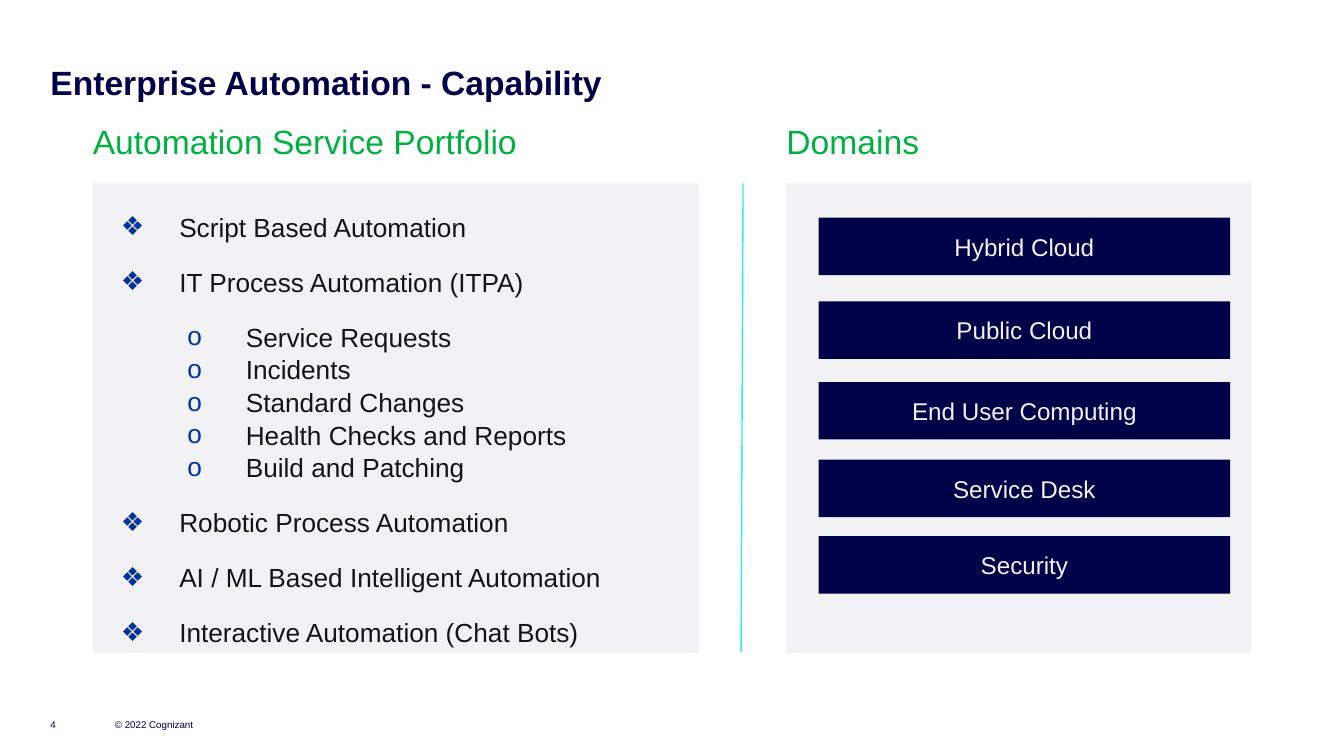
from lxml import etree
from pptx import Presentation
from pptx import util as u
from pptx.dml.color import RGBColor
from pptx.enum import shapes, text
from pptx.oxml.ns import qn

NAVY, GREEN, BLUE, INK = "000048", "00B140", "0033A0", "141414"
WHITE, CYAN = "FFFFFF", "26EFE9"

SERVICES = [
    ("Script Based Automation", []),
    ("IT Process Automation (ITPA)", [
        "Service Requests", "Incidents", "Standard Changes",
        "Health Checks and Reports", "Build and Patching"]),
    ("Robotic Process Automation", []),
    ("AI / ML Based Intelligent Automation", []),
    ("Interactive Automation (Chat Bots)", []),
]
DOMAINS = [("Hybrid Cloud", 2.16), ("Public Cloud", 2.99),
           ("End User Computing", 3.79), ("Service Desk", 4.56),
           ("Security", 5.32)]


def color(code):
    return RGBColor.from_string(code)


def write(para, words, size=24, ink=NAVY, bold=False, align=None):
    run = para.add_run()
    run.text = words
    font = run.font
    font.name, font.size, font.bold = "Arial", u.Pt(size), bold
    font.color.rgb = color(ink)
    para.alignment = align


def bullet(para, mark, left, hang=0.58):
    """Give the paragraph a coloured mark and a hanging indent."""
    props = para._p.get_or_add_pPr()
    props.set("marL", str(u.Inches(left)))
    props.set("indent", str(-u.Inches(hang)))
    tint = etree.SubElement(props, qn("a:buClr"))
    etree.SubElement(tint, qn("a:srgbClr"), val=BLUE)
    etree.SubElement(props, qn("a:buFont"), typeface="Arial")
    etree.SubElement(props, qn("a:buChar"), char=mark)


class Deck:
    def __init__(self):
        self.show = Presentation()
        self.show.slide_width = u.Inches(13.33)
        self.show.slide_height = u.Inches(7.5)
        self.slide = self.show.slides.add_slide(self.show.slide_layouts[6])

    def frame(self, x, y, w, h, pad=0.0, wrap=True,
              anchor=text.MSO_ANCHOR.TOP):
        """Add an empty text box and return its text frame."""
        box = self.slide.shapes.add_textbox(*map(u.Inches, (x, y, w, h)))
        body = box.text_frame
        body.word_wrap, body.vertical_anchor = wrap, anchor
        body.margin_left = body.margin_right = u.Inches(pad)
        body.margin_top = body.margin_bottom = u.Inches(pad / 2)
        return body

    def label(self, words, x, y, w, h, wrap=True,
              anchor=text.MSO_ANCHOR.TOP, **style):
        body = self.frame(x, y, w, h, wrap=wrap, anchor=anchor)
        write(body.paragraphs[0], words, **style)

    def rect(self, x, y, w, h, alpha=None):
        """Add a navy rectangle; alpha is its opacity in percent."""
        box = self.slide.shapes.add_shape(
            shapes.MSO_SHAPE.RECTANGLE, *map(u.Inches, (x, y, w, h)))
        box.shadow.inherit = False
        box.fill.solid()
        box.fill.fore_color.rgb = color(NAVY)
        box.line.fill.background()
        if alpha is not None:
            tint = box._element.spPr.find(".//" + qn("a:srgbClr"))
            etree.SubElement(tint, qn("a:alpha"), val=str(alpha * 1000))
        return box

    def bar(self, words, y):
        body = self.rect(8.12, y, 4.08, 0.57).text_frame
        body.vertical_anchor = text.MSO_ANCHOR.MIDDLE
        write(body.paragraphs[0], words, size=17.3, ink=WHITE,
              align=text.PP_ALIGN.CENTER)

    def line(self, x1, y1, x2, y2, ink):
        rule = self.slide.shapes.add_connector(
            shapes.MSO_CONNECTOR.STRAIGHT, *map(u.Inches, (x1, y1, x2, y2)))
        rule.line.color.rgb = color(ink)
        rule.line.width = u.Pt(1)
        etree.SubElement(rule._element.spPr, qn("a:effectLst"))

    def items(self, tree, x, y, w, h):
        """Add a two-level list; only the end of a group has space after."""
        body = self.frame(x, y, w, h, 0.1, anchor=text.MSO_ANCHOR.MIDDLE)
        rows = []
        for head, subs in tree:
            rows.append((head, 0, True))
            rows += [(sub, 1, sub == subs[-1]) for sub in subs]
        for i, (words, level, gap) in enumerate(rows):
            para = body.add_paragraph() if i else body.paragraphs[0]
            para.level = level
            para.line_spacing = 1.04
            para.space_after = u.Pt(16 if gap else 0)
            bullet(para, "❖o"[level], (0.58, 1.24)[level])
            write(para, words, size=18.7, ink=INK)


def main():
    deck = Deck()
    deck.label("Enterprise Automation - Capability",
               0.5, 0.61, 11.82, 0.34, bold=True)
    for words, x, w in (("© 2022 Cognizant", 1.14, 1.31), ("4", 0.5, 0.39)):
        deck.label(words, x, 7.04, w, 0.21, wrap=False,
                   anchor=text.MSO_ANCHOR.BOTTOM, size=7)

    deck.rect(0.92, 1.82, 6.01, 4.66, alpha=5)
    deck.items(SERVICES, 1.1, 2.21, 5.64, 4.09)
    for words, y in DOMAINS:
        deck.bar(words, y)
    deck.rect(7.8, 1.82, 4.61, 4.66, alpha=5)

    deck.label("Automation Service Portfolio", 0.92, 1.2, 4.25, 0.4,
               wrap=False, ink=GREEN)
    deck.label("Domains", 7.8, 1.2, 4.61, 0.4, ink=GREEN)
    deck.line(7.37, 1.82, 7.35, 6.47, CYAN)
    deck.show.save("out.pptx")


if __name__ == "__main__":
    main()
